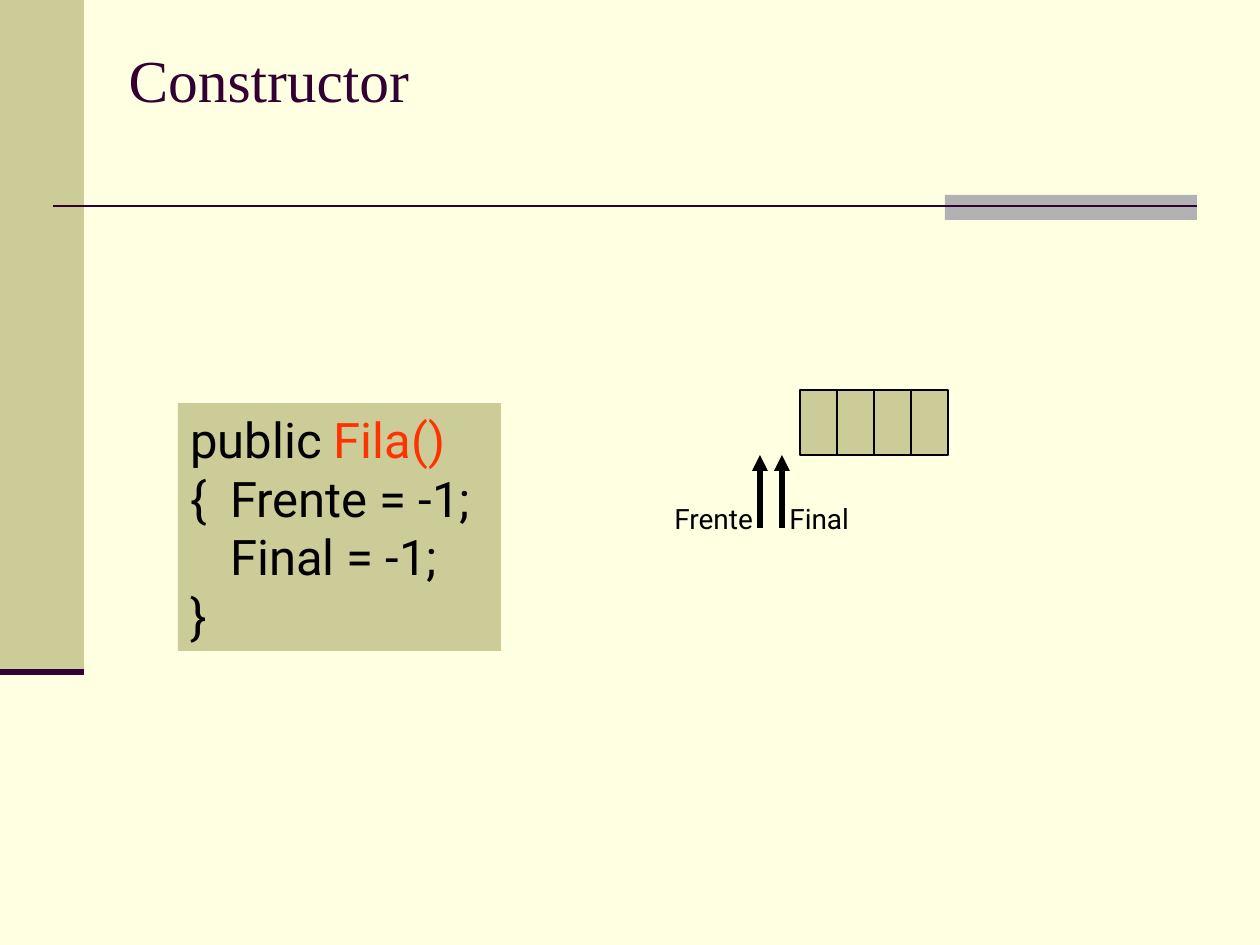
from lxml import etree
from pptx import Presentation
from pptx import util as u
from pptx.dml.color import RGBColor
from pptx.enum import shapes, text
from pptx.oxml.ns import qn

EMU_PER_PX = 914400 / 126

CREAM = RGBColor(0xFF, 0xFF, 0xE1)
OLIVE = RGBColor(0xCC, 0xCC, 0x99)
GREY = RGBColor(0xB2, 0xB2, 0xB2)
PLUM = RGBColor(0x33, 0x00, 0x33)
RED = RGBColor(0xFF, 0x33, 0x00)
BLACK = RGBColor(0, 0, 0)

# Content: code lines as runs of (text, colour)
TITLE = "Constructor"
CODE = [
    [("public ", BLACK), ("Fila()", RED)],
    [("{\tFrente = -1;", BLACK)],
    [(" \tFinal = -1;", BLACK)],
    [("}", BLACK)],
]
CODE_TAB = 40

# Queue diagram: cells, then pointers as (label, label left, label width, arrow x)
CELL_COUNT = 4
CELL_LEFT, CELL_TOP, CELL_WIDTH, CELL_HEIGHT = 800, 390, 37, 65
POINTERS = [("Final", 777, 87, 782), ("Frente", 662, 110, 760)]
LABEL_TOP, LABEL_HEIGHT = 495, 47
ARROW_BOTTOM, ARROW_TOP = 528, 455


def px(length):
    return u.Emu(round(length * EMU_PER_PX))


def add_rect(slide, left, top, width, height, fill, outline=None):
    rect = slide.shapes.add_shape(
        shapes.MSO_SHAPE.RECTANGLE, px(left), px(top), px(width), px(height))
    rect.shadow.inherit = False
    rect.fill.solid()
    rect.fill.fore_color.rgb = fill
    if outline is None:
        rect.line.fill.background()
    else:
        rect.line.color.rgb = outline
        rect.line.width = u.Pt(0.75)
    return rect


def add_line(slide, x1, y1, x2, y2, colour, weight, arrow=False):
    line = slide.shapes.add_connector(
        shapes.MSO_CONNECTOR.STRAIGHT, px(x1), px(y1), px(x2), px(y2))
    line.line.color.rgb = colour
    line.line.width = u.Pt(weight)
    if arrow:
        etree.SubElement(line.line._get_or_add_ln(), qn("a:tailEnd"), type="triangle")
    etree.SubElement(line._element.spPr, qn("a:effectLst"))


def style(paragraph, font_name, size, colour):
    paragraph.alignment = text.PP_ALIGN.LEFT
    paragraph.font.name = font_name
    paragraph.font.size = u.Pt(size)
    paragraph.font.color.rgb = colour


def add_code(slide, left, top, width, height):
    frame = add_rect(slide, left, top, width, height, OLIVE).text_frame
    frame.word_wrap = False
    frame.vertical_anchor = text.MSO_ANCHOR.TOP
    for index, runs in enumerate(CODE):
        paragraph = frame.add_paragraph() if index else frame.paragraphs[0]
        tabs = etree.SubElement(paragraph._p.get_or_add_pPr(), qn("a:tabLst"))
        etree.SubElement(tabs, qn("a:tab"), pos=str(px(CODE_TAB)), algn="l")
        style(paragraph, "Roboto", 28, BLACK)
        for words, colour in runs:
            run = paragraph.add_run()
            run.text = words
            run.font.color.rgb = colour


def add_pointer(slide, label, left, width, arrow_x):
    add_line(slide, arrow_x, ARROW_BOTTOM, arrow_x, ARROW_TOP, BLACK, 3, arrow=True)
    box = slide.shapes.add_textbox(px(left), px(LABEL_TOP), px(width), px(LABEL_HEIGHT))
    box.text_frame.word_wrap = False
    box.text_frame.text = label
    style(box.text_frame.paragraphs[0], "Roboto", 16, BLACK)


def main():
    deck = Presentation()
    deck.slide_width, deck.slide_height = px(1260), px(945)
    slide = deck.slides.add_slide(deck.slide_layouts[5])
    slide.background.fill.solid()
    slide.background.fill.fore_color.rgb = CREAM

    # Side band and title rule
    add_rect(slide, 0, 0, 84, 672, OLIVE)
    add_rect(slide, 945, 195, 252, 25, GREY)
    add_line(slide, 53, 206, 1197, 206, PLUM, 1.5)
    add_line(slide, 0, 672, 84, 672, PLUM, 3.5)

    # Title
    title = slide.shapes.title
    title.left, title.top, title.width, title.height = px(116), px(0), px(1071), px(158)
    title.text_frame.text = TITLE
    title.text_frame.auto_size = text.MSO_AUTO_SIZE.NONE
    title.text_frame.vertical_anchor = text.MSO_ANCHOR.MIDDLE
    style(title.text_frame.paragraphs[0], "Times New Roman", 34, PLUM)

    # Constructor code
    add_code(slide, 178, 403, 323, 248)

    # Empty queue with its two pointers
    for index in range(CELL_COUNT):
        add_rect(slide, CELL_LEFT + index * CELL_WIDTH, CELL_TOP,
                 CELL_WIDTH, CELL_HEIGHT, OLIVE, BLACK)
    for pointer in POINTERS:
        add_pointer(slide, *pointer)

    deck.save("out.pptx")


if __name__ == "__main__":
    main()
